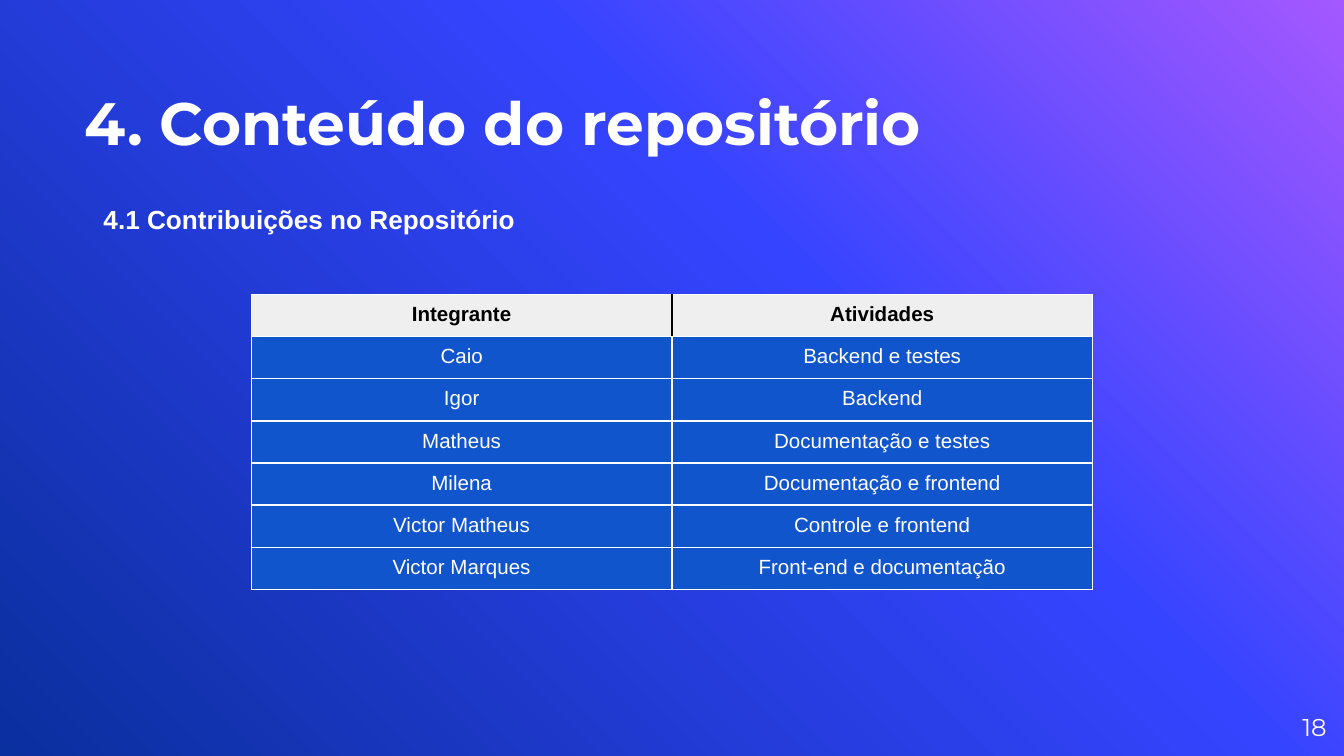
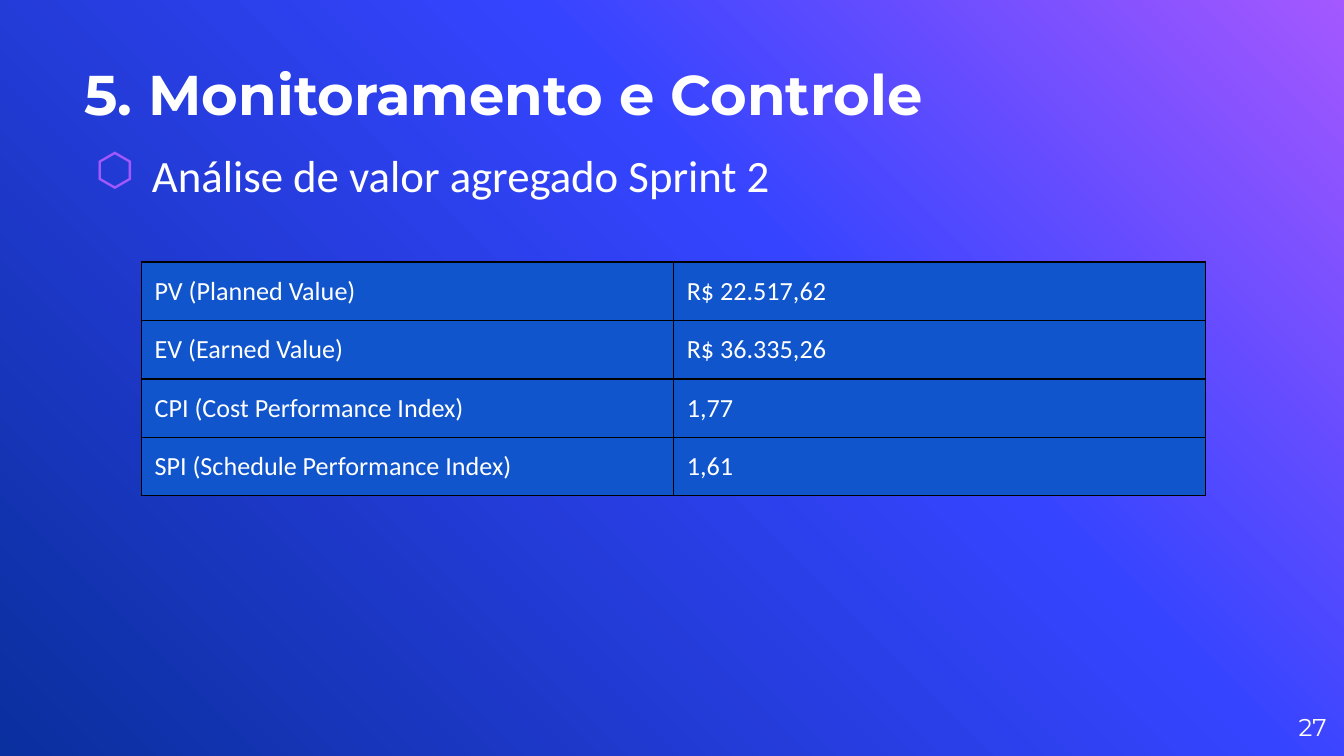
import copy

import pptx
import pptx.dml.color
import pptx.enum.text
import pptx.oxml
import pptx.oxml.ns
import pptx.util

PX = 4572  # 200 px to the inch
RGB = pptx.dml.color.RGBColor
Pt = pptx.util.Pt
qn = pptx.oxml.ns.qn
ALIGN = pptx.enum.text.PP_ALIGN
ANCHOR = pptx.enum.text.MSO_ANCHOR

WHITE = RGB(0xFF, 0xFF, 0xFF)
BLACK = RGB(0x00, 0x00, 0x00)
GREY = RGB(0xEF, 0xEF, 0xEF)
BLUE = RGB(0x11, 0x55, 0xCC)
PURPLE = RGB(0xA4, 0x58, 0xFF)
INDIGO = RGB(0x35, 0x44, 0xFF)
NAVY = RGB(0x0A, 0x2F, 0x9E)
SIDES = ("L", "R", "T", "B")
INSETS = ("margin_left", "margin_right", "margin_top", "margin_bottom")


def write(frame, text, font, color, align=ALIGN.LEFT):
    """Put one formatted paragraph in the frame and return it."""
    para = frame.paragraphs[0]
    para.alignment = align
    run = para.add_run()
    run.text = text
    for name, value in font.items():
        setattr(run.font, name, value)
    run.font.color.rgb = color
    return para


def label(slide, box, text, font, anchor=ANCHOR.TOP, align=ALIGN.LEFT):
    """Add a white text box without insets; return its frame and paragraph."""
    frame = slide.shapes.add_textbox(*[n * PX for n in box]).text_frame
    frame.word_wrap = True
    frame.vertical_anchor = anchor
    for side in INSETS:
        setattr(frame, side, 0)
    return frame, write(frame, text, font, WHITE, align)


deck = pptx.Presentation()
deck.slide_width = 2000 * PX
deck.slide_height = 1125 * PX

# Shared background
fill = deck.slide_master.background.fill
fill.gradient()
fill.gradient_angle = 225
stops = next(deck.slide_master.element.iter(qn("a:gsLst")))
stops.append(copy.deepcopy(stops[0]))
for stop, (place, color) in zip(
    fill.gradient_stops, [(0, PURPLE), (0.39, INDIGO), (1, NAVY)]
):
    stop.position = place
    stop.color.rgb = color

TEAM = [
    ("Integrante", "Atividades"),
    ("Caio", "Backend e testes"),
    ("Igor", "Backend"),
    ("Matheus", "Documentação e testes"),
    ("Milena", "Documentação e frontend"),
    ("Victor Matheus", "Controle e frontend"),
    ("Victor Marques", "Front-end e documentação"),
]
VALUES = [
    ("PV (Planned Value)", "R$ 22.517,62"),
    ("EV (Earned Value)", "R$ 36.335,26"),
    ("CPI (Cost Performance Index)", "1,77"),
    ("SPI (Schedule Performance Index)", "1,61"),
]
PAGES = [
    {
        "title": "4. Conteúdo do repositório", "top": 46, "size": 32, "number": "18",
        "body": "4.1 Contribuições no Repositório", "box": (144, 296, 1316, 692),
        "font": {"name": "Arial", "size": Pt(14), "bold": True}, "bullet": False,
        "rows": TEAM, "at": (374, 438), "cell": (626, 62), "inset": 13,
        "text": {"name": "Arial", "size": Pt(11)}, "align": ALIGN.CENTER,
        "line": WHITE, "width": 1, "header": True,
    },
    {
        "title": "5. Monitoramento e Controle", "top": 0, "size": 30, "number": "27",
        "body": "Análise de valor agregado Sprint 2", "box": (126, 208, 1750, 802),
        "font": {"name": "Calibri", "size": Pt(24)}, "bullet": True,
        "rows": VALUES, "at": (210, 390), "cell": (792, 87), "inset": 20,
        "text": {"name": "Calibri", "size": Pt(14)}, "align": ALIGN.LEFT,
        "line": BLACK, "width": 0.75, "header": False,
    },
]

for page in PAGES:
    slide = deck.slides.add_slide(deck.slide_layouts[6])

    # Title, body and page number
    label(slide, (126, page["top"], 1316, 188), page["title"],
          {"name": "Montserrat", "size": Pt(page["size"]), "bold": True},
          ANCHOR.BOTTOM)
    frame, para = label(slide, page["box"], page["body"], page["font"])
    para.line_spacing = 1.15
    if page["bullet"]:
        para.space_before = Pt(6)
        props = para._p.get_or_add_pPr()
        props.set("marL", str(100 * PX))
        props.set("indent", str(-84 * PX))
        tint = props.makeelement(qn("a:buClr"), {})
        tint.append(tint.makeelement(qn("a:srgbClr"), {"val": str(PURPLE)}))
        props.append(tint)
        props.append(props.makeelement(qn("a:buChar"), {"char": "⬡"}))
    else:
        frame.margin_left = 10 * PX
    label(slide, (1854, 1038, 120, 86), page["number"],
          {"name": "Montserrat", "size": Pt(13)}, ANCHOR.MIDDLE, ALIGN.RIGHT)

    # Table
    rows = page["rows"]
    wide, high = page["cell"]
    left, top = page["at"]
    table = slide.shapes.add_table(
        len(rows), 2, left * PX, top * PX, 2 * wide * PX, len(rows) * high * PX
    ).table
    table.first_row = table.horz_banding = False
    for col in table.columns:
        col.width = wide * PX
    for r, row in enumerate(rows):
        table.rows[r].height = high * PX
        head = page["header"] and r == 0
        for c, text in enumerate(row):
            cell = table.cell(r, c)
            for side in INSETS:
                setattr(cell, side, page["inset"] * PX)
            write(cell.text_frame, text, page["text"] | {"bold": head},
                  BLACK if head else WHITE, page["align"])
            props = cell._tc.get_or_add_tcPr()
            for side in SIDES:
                inner = head and side == "RL"[c]
                line = props.makeelement(
                    qn("a:ln" + side), {"w": str(Pt(page["width"]))})
                solid = line.makeelement(qn("a:solidFill"), {})
                shade = BLACK if inner else page["line"]
                solid.append(solid.makeelement(qn("a:srgbClr"), {"val": str(shade)}))
                line.append(solid)
                props.append(line)
            cell.fill.solid()
            cell.fill.fore_color.rgb = GREY if head else BLUE

deck.save("out.pptx")
